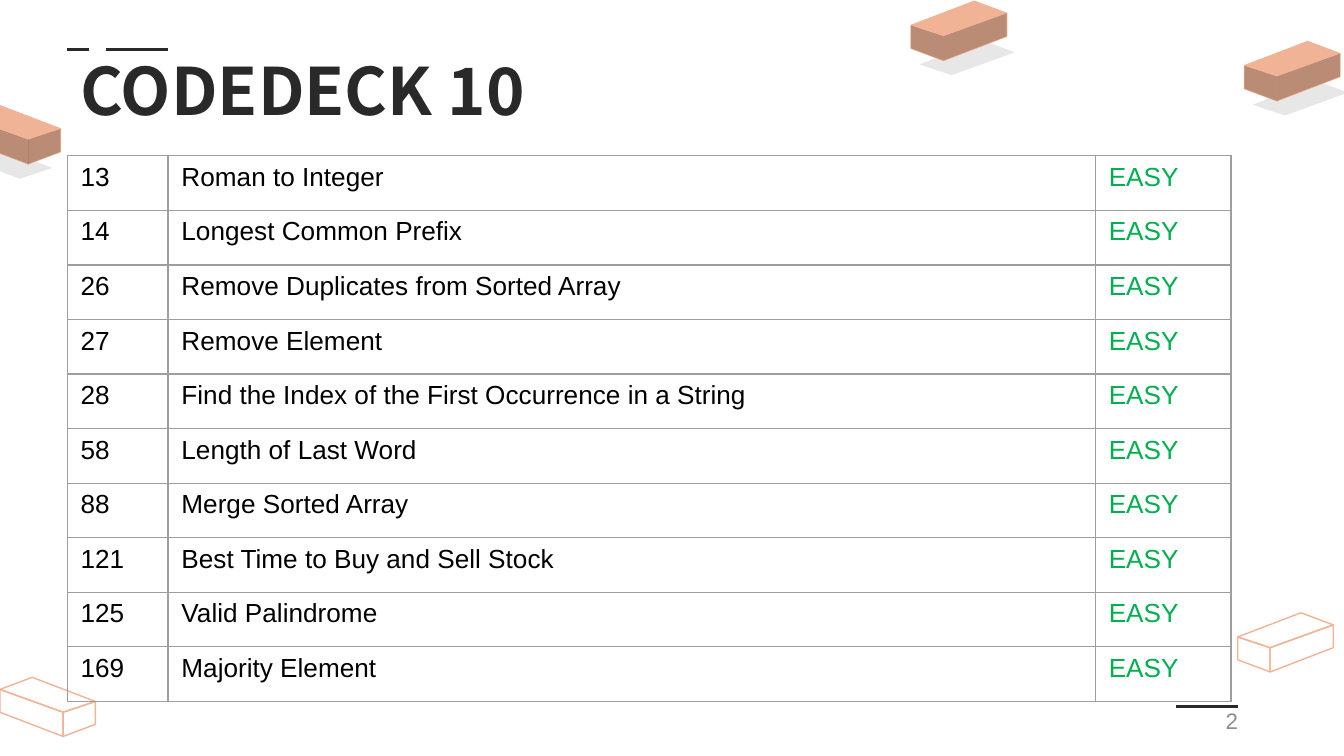
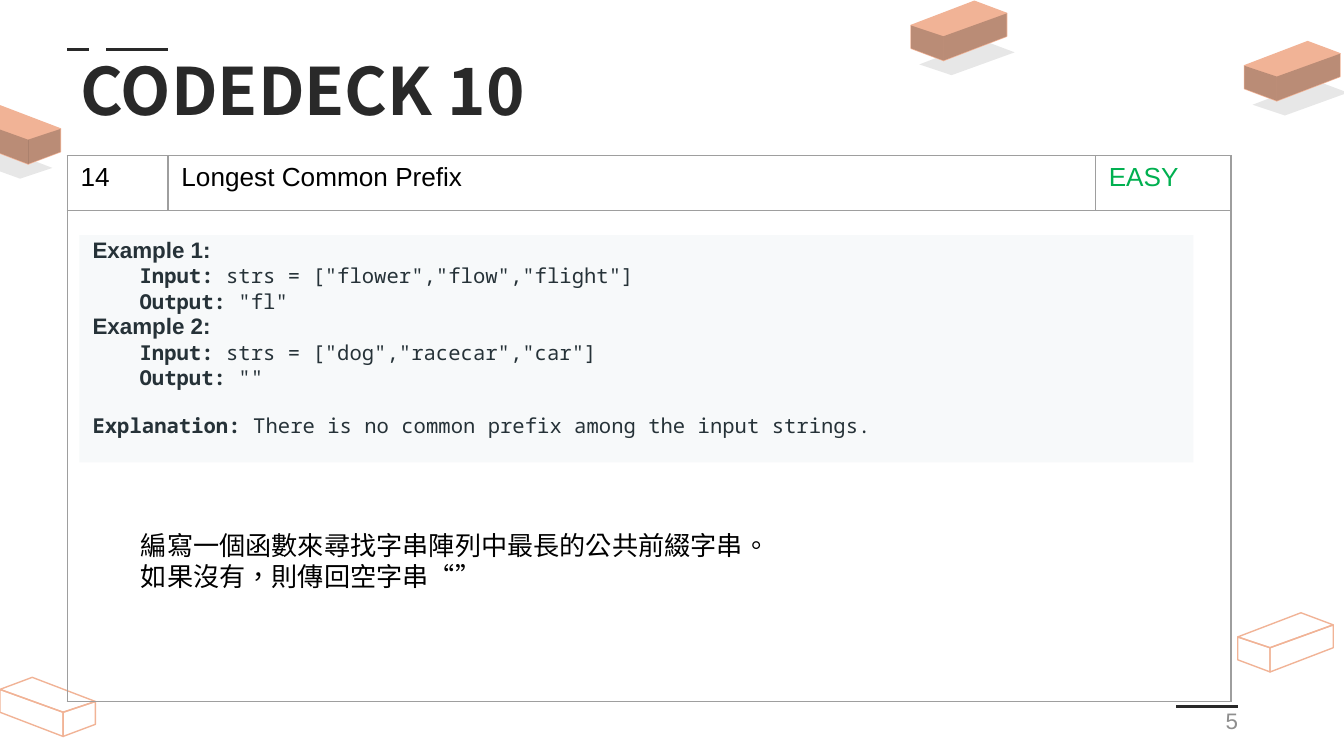
from lxml import etree
from pptx import Presentation
from pptx.dml.color import RGBColor
from pptx.enum.lang import MSO_LANGUAGE_ID
from pptx.enum.shapes import MSO_CONNECTOR, MSO_SHAPE
from pptx.enum.text import MSO_ANCHOR, MSO_AUTO_SIZE, PP_ALIGN
from pptx.oxml.ns import qn
from pptx.util import Inches, Pt

STRAIGHT = MSO_CONNECTOR.STRAIGHT
RECTANGLE = MSO_SHAPE.RECTANGLE
TOP, MIDDLE = MSO_ANCHOR.TOP, MSO_ANCHOR.MIDDLE
LEFT, RIGHT = PP_ALIGN.LEFT, PP_ALIGN.RIGHT
NO_RESIZE = MSO_AUTO_SIZE.NONE
CHINESE = MSO_LANGUAGE_ID.TRADITIONAL_CHINESE

COLORS = {
    "paper": "FFFFFF", "ink": "292929", "text": "000000", "easy": "00B050",
    "border": "9E9E9E", "number": "8E8E8E", "brick": "F1B396",
    "shade": "191919", "code": "263238", "panel": "F7F9FA",
}
TITLE_FONT, TEXT_FONT, CODE_FONT = "Noto Sans CJK SC", "Arial", "Noto Sans Mono"

# Content
TITLE = "CODEDECK 10"
PROBLEMS = [
    ("13", "Roman to Integer", "EASY"),
    ("14", "Longest Common Prefix", "EASY"),
    ("26", "Remove Duplicates from Sorted Array", "EASY"),
    ("27", "Remove Element", "EASY"),
    ("28", "Find the Index of the First Occurrence in a String", "EASY"),
    ("58", "Length of Last Word", "EASY"),
    ("88", "Merge Sorted Array", "EASY"),
    ("121", "Best Time to Buy and Sell Stock", "EASY"),
    ("125", "Valid Palindrome", "EASY"),
    ("169", "Majority Element", "EASY"),
]
# Each line: bold label, plain value, indent, space before in points
EXAMPLES = [
    ("Example 1:", "", 0, 0),
    ("Input:", ' strs = ["flower","flow","flight"]', 0.35, 0),
    ("Output:", ' "fl"', 0.35, 0),
    ("Example 2:", "", 0, 0),
    ("Input:", ' strs = ["dog","racecar","car"]', 0.35, 0),
    ("Output:", ' ""', 0.35, 0),
    ("Explanation:", " There is no common prefix among the input strings.", 0, 12),
]
TASK = ["編寫一個函數來尋找字串陣列中最長的公共前綴字串。", "如果沒有，則傳回空字串“”"]

# Shared layout, in inches
PAGE_WIDTH = 10
PAGE_HEIGHT = PAGE_WIDTH * 9 / 16
TABLE_LEFT, TABLE_TOP, TABLE_HEIGHT = 0.5, 1.16, 4.06
COLUMNS = (0.75, 6.9, 1.01)
ROW_HEIGHT = TABLE_HEIGHT / len(PROBLEMS)
RULES = [(0.5, 0.66, 0.37), (0.79, 1.25, 0.37), (8.75, 9.21, 5.26)]
BRICK_WIDTH = 0.71
TOP_FACE = [(0.47, 0), (0, 0.18), (0.24, 0.26), (0.71, 0.09)]
END_FACE = [(0, 0.18), (0, 0.35), (0.24, 0.44), (0.24, 0.26)]
FRONT_FACE = [(0.71, 0.09), (0.24, 0.26), (0.24, 0.44), (0.71, 0.26)]
SHADOW = [(x + 0.06, y + 0.29) for x, y in TOP_FACE]
# Each brick: left, top, mirrored, solid
BRICKS = [
    (-0.26, 0.78, True, True),
    (9.21, 4.56, False, False),
    (6.78, 0.01, False, True),
    (9.26, 0.31, False, True),
    (0, 5.04, True, False),
]


def rgb(name):
    return RGBColor.from_string(COLORS[name])


def style_run(run, size, color, font=TEXT_FONT, bold=False):
    run.font.size, run.font.name, run.font.bold = Pt(size), font, bold
    run.font.color.rgb = rgb(color)


def style_text(frame, size, color, align=LEFT, **style):
    for para in frame.paragraphs:
        para.alignment = align
        for run in para.runs:
            style_run(run, size, color, **style)


def add_text_box(page, left, top, width, height, text):
    box = page.shapes.add_textbox(*map(Inches, (left, top, width, height)))
    box.text_frame.word_wrap = True
    box.text_frame.text = text
    return box.text_frame


def add_face(page, points, fill=None, alpha=None, outlined=True):
    corners = [(Inches(x), Inches(y)) for x, y in points]
    builder = page.shapes.build_freeform(*corners[0])
    builder.add_line_segments(corners[1:], close=True)
    face = builder.convert_to_shape()
    face.shadow.inherit = False
    if fill:
        face.fill.solid()
        face.fill.fore_color.rgb = rgb(fill)
    else:
        face.fill.background()
    if alpha:
        color = face.fill._xPr.find(".//" + qn("a:srgbClr"))
        etree.SubElement(color, qn("a:alpha"), val=str(alpha * 1000))
    if outlined:
        face.line.color.rgb = rgb("brick")
        face.line.width = Pt(0.75)
    else:
        face.line.fill.background()


def add_brick(page, left, top, mirrored, solid):
    def place(points):
        return [(left + (BRICK_WIDTH - x if mirrored else x), top + y)
                for x, y in points]

    if solid:
        add_face(page, place(SHADOW), "shade", 10, outlined=False)
    for points in (END_FACE, TOP_FACE, FRONT_FACE):
        add_face(page, place(points), "brick" if solid else None)
    if solid:
        for points in (END_FACE, FRONT_FACE):
            add_face(page, place(points), "shade", 25, outlined=False)


def add_rule(page, start, end, y):
    rule = page.shapes.add_connector(
        STRAIGHT, Inches(start), Inches(y), Inches(end), Inches(y))
    rule.line.color.rgb = rgb("ink")
    rule.line.width = Pt(1.5)
    etree.SubElement(rule._element.spPr, qn("a:effectLst"))


def add_page(deck, number):
    """Add a page with the bricks, rules, title and page number."""
    page = deck.slides.add_slide(deck.slide_layouts[5])
    page.background.fill.solid()
    page.background.fill.fore_color.rgb = rgb("paper")
    for brick in BRICKS:
        add_brick(page, *brick)
    for rule in RULES:
        add_rule(page, *rule)

    title = page.shapes.title
    title.left, title.top = Inches(0.5), Inches(0.27)
    title.width, title.height = Inches(8.43), Inches(0.63)
    frame = title.text_frame
    frame.text = TITLE
    frame.auto_size, frame.vertical_anchor = NO_RESIZE, TOP
    frame.margin_left = frame.margin_right = Inches(0.1)
    frame.margin_top = frame.margin_bottom = Inches(0.1)
    style_text(frame, 35, "ink", font=TITLE_FONT, bold=True)

    frame = add_text_box(page, 7.06, 5.21, 2.25, 0.3, str(number))
    frame.vertical_anchor = MIDDLE
    style_text(frame, 12, "number", RIGHT)
    return page


def add_borders(cell):
    properties = cell._tc.get_or_add_tcPr()
    for side in ("lnL", "lnR", "lnT", "lnB"):
        line = etree.SubElement(properties, qn("a:" + side), w=str(Pt(0.75)))
        fill = etree.SubElement(line, qn("a:solidFill"))
        etree.SubElement(fill, qn("a:srgbClr"), val=COLORS["border"])


def add_problem_table(page, problems, detail_row=False):
    """List the problems; a detail row fills the remaining height."""
    heights = [ROW_HEIGHT] * len(problems)
    if detail_row:
        heights.append(TABLE_HEIGHT - sum(heights))
    table = page.shapes.add_table(
        len(heights), len(COLUMNS), Inches(TABLE_LEFT), Inches(TABLE_TOP),
        Inches(sum(COLUMNS)), Inches(TABLE_HEIGHT)).table
    table.first_row = table.horz_banding = False
    for column, width in zip(table.columns, COLUMNS):
        column.width = Inches(width)
    for row, height in zip(table.rows, heights):
        row.height = Inches(height)
    for cell in table.iter_cells():
        add_borders(cell)
        cell.fill.background()
    for row, problem in zip(table.rows, problems):
        for cell, text, color in zip(row.cells, problem, ("text", "text", "easy")):
            cell.text_frame.text = text
            style_text(cell.text_frame, 14, color)
    if detail_row:
        last = len(heights) - 1
        table.cell(last, 0).merge(table.cell(last, len(COLUMNS) - 1))


def add_example_panel(page):
    panel = page.shapes.add_shape(
        RECTANGLE, Inches(0.59), Inches(1.75), Inches(8.29), Inches(1.69))
    panel.shadow.inherit = False
    panel.fill.solid()
    panel.fill.fore_color.rgb = rgb("panel")
    panel.line.fill.background()
    frame = panel.text_frame
    frame.word_wrap, frame.vertical_anchor = True, MIDDLE
    frame.margin_left = frame.margin_right = Inches(0.1)
    frame.margin_top, frame.margin_bottom = 0, Inches(0.17)
    for index, (label, value, indent, gap) in enumerate(EXAMPLES):
        para = frame.add_paragraph() if index else frame.paragraphs[0]
        para.alignment = LEFT
        para.line_spacing, para.space_before = Pt(13.6), Pt(gap)
        para._p.get_or_add_pPr().set("marL", str(Inches(indent)))
        span = para.add_run()
        span.text = label
        if value:
            style_run(span, 11, "code", CODE_FONT, bold=True)
            span = para.add_run()
            span.text = value
            style_run(span, 11, "code", CODE_FONT)
        else:
            style_run(span, 12, "code", bold=True)


def add_task(page):
    frame = add_text_box(page, 0.95, 3.89, 5.18, 0.57, "\n".join(TASK))
    style_text(frame, 14, "text")
    for para in frame.paragraphs:
        for span in para.runs:
            span.font.language_id = CHINESE


def main():
    deck = Presentation()
    deck.slide_width, deck.slide_height = Inches(PAGE_WIDTH), Inches(PAGE_HEIGHT)

    # Problem list
    page = add_page(deck, 2)
    add_problem_table(page, PROBLEMS)

    # One problem with its examples and task
    page = add_page(deck, 5)
    add_problem_table(page, PROBLEMS[1:2], detail_row=True)
    add_example_panel(page)
    add_task(page)

    deck.save("out.pptx")


if __name__ == "__main__":
    main()
